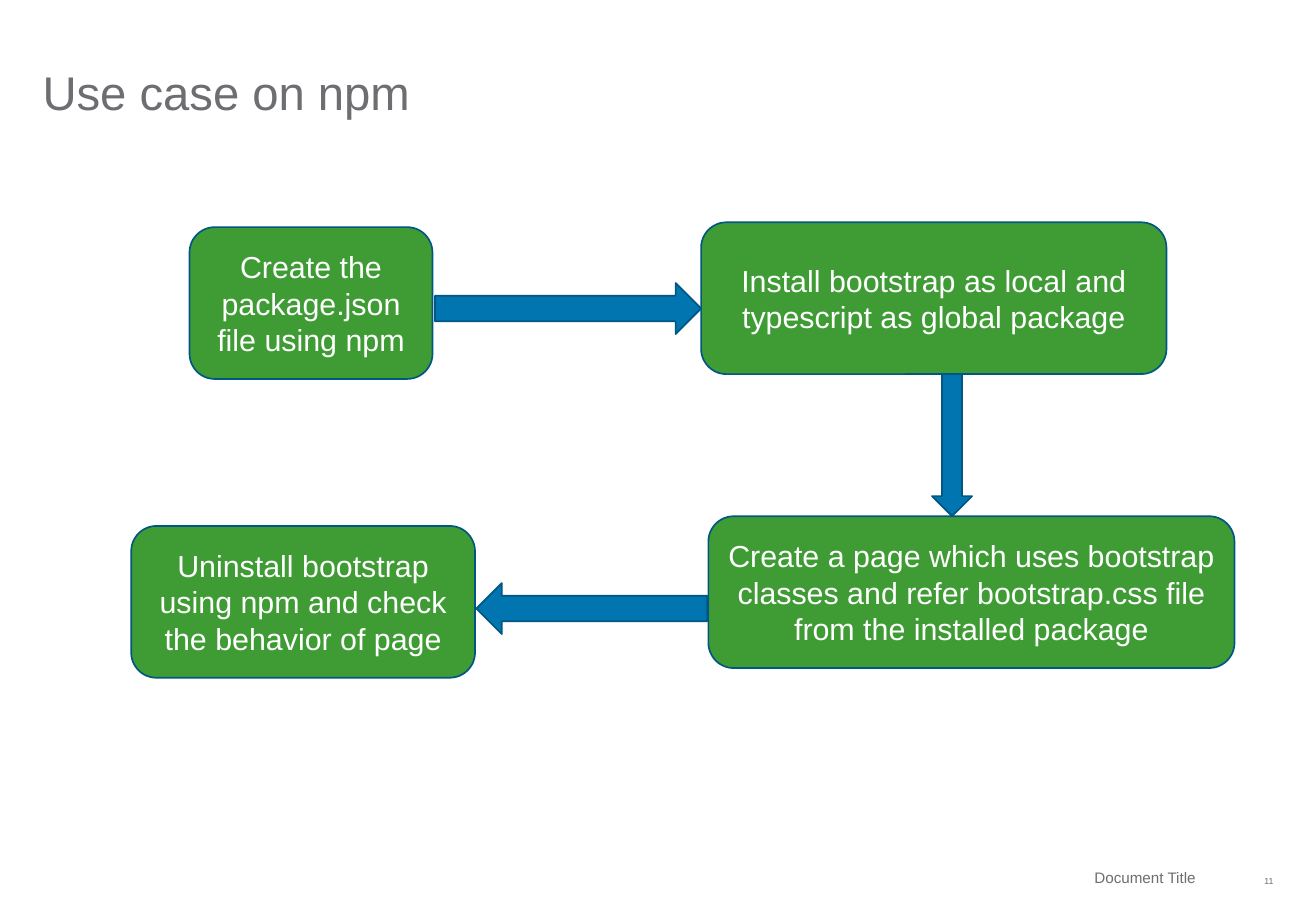
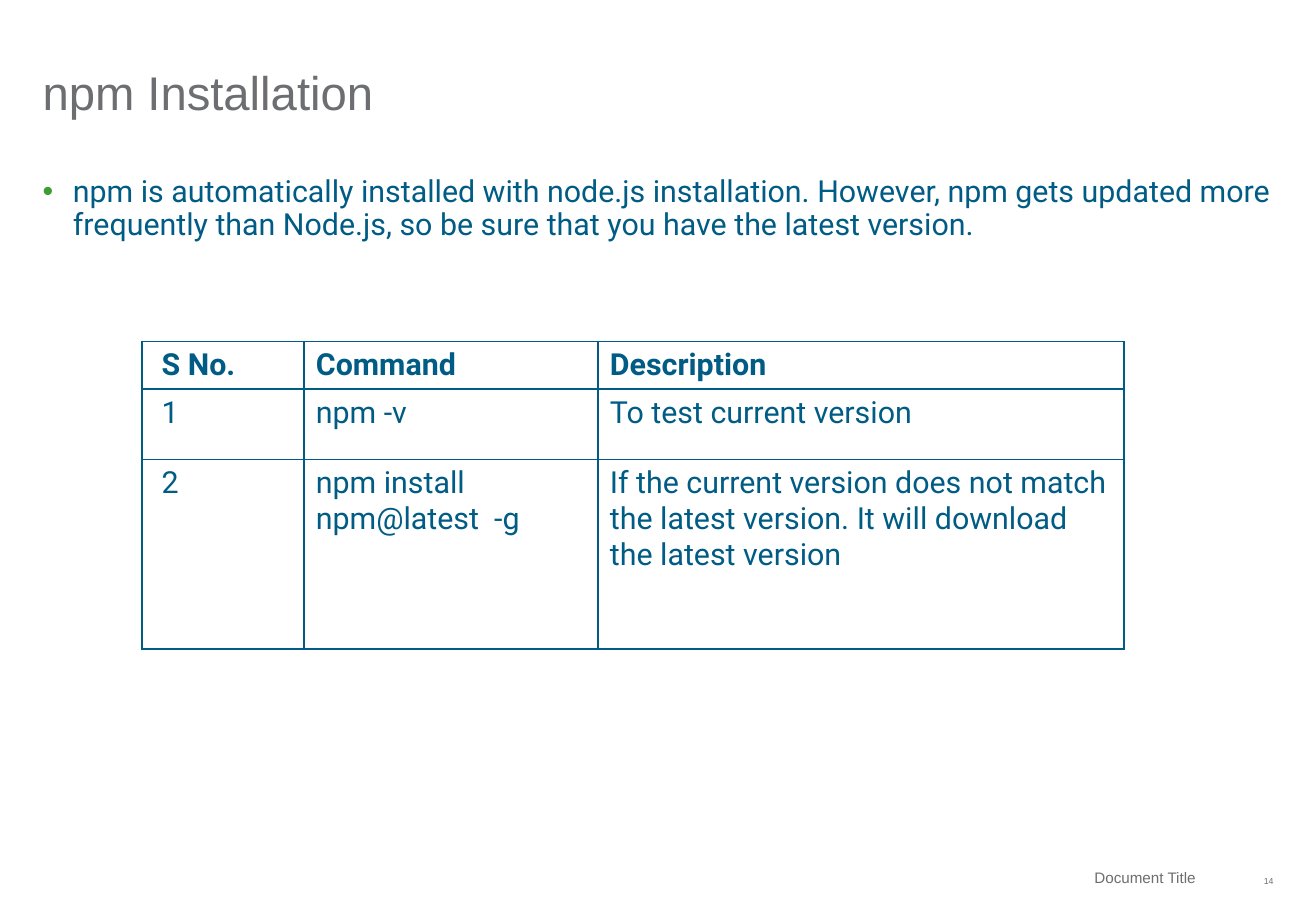
"""Build two slides on npm: a use case flow and the install commands."""
from dataclasses import dataclass
from typing import Optional

from lxml import etree
from pptx import Presentation
from pptx.dml.color import RGBColor
from pptx.enum.shapes import MSO_SHAPE
from pptx.enum.text import MSO_ANCHOR, MSO_AUTO_SIZE, PP_ALIGN
from pptx.oxml.ns import qn
from pptx.util import Pt

ROUND, RIGHT, DOWN, LEFT = (
    MSO_SHAPE.ROUNDED_RECTANGLE,
    MSO_SHAPE.RIGHT_ARROW,
    MSO_SHAPE.DOWN_ARROW,
    MSO_SHAPE.LEFT_ARROW,
)
TOP, MID, LOW = MSO_ANCHOR.TOP, MSO_ANCHOR.MIDDLE, MSO_ANCHOR.BOTTOM
START, CENTER, END = PP_ALIGN.LEFT, PP_ALIGN.CENTER, PP_ALIGN.RIGHT
FIXED = MSO_AUTO_SIZE.NONE
PX = 9144
WIDE, HIGH = 1083, 750
LISTED, PLAIN = 1, 5
FLUSH = (0, 0, 0, 0)


@dataclass(frozen=True)
class Theme:
    sans: str = "Arial"
    tech: str = "Roboto"
    gray: str = "6D6E71"
    green: str = "3F9C35"
    blue: str = "0075B0"
    edge: str = "005782"
    ink: str = "005C84"
    white: str = "FFFFFF"
    head: int = 28
    text: int = 18
    foot: int = 9
    line: int = 1


@dataclass(frozen=True)
class Box:
    x: int
    y: int
    w: int
    h: int

    def emu(self) -> tuple[int, ...]:
        return tuple(v * PX for v in (self.x, self.y, self.w, self.h))


@dataclass(frozen=True)
class Node:
    kind: MSO_SHAPE
    box: Box
    text: str = ""


T = Theme()
HEAD = Box(35, 22, 1013, 77)
BODY = Box(35, 145, 1013, 77)
FOOT = Box(619, 708, 380, 28)
PAGE = Box(1009, 705, 39, 33)
GRID = Box(117, 281, 808, 253)
COLS = (133, 242, 433)
ROWS = (39, 58, 156)

FLOW = (
    Node(ROUND, Box(156, 187, 200, 125), "Create the package.json file using npm"),
    Node(ROUND, Box(577, 183, 383, 125),
         "Install bootstrap as local and typescript as global package"),
    Node(ROUND, Box(583, 425, 433, 125),
         "Create a page which uses bootstrap classes and refer bootstrap.css file "
         "from the installed package"),
    Node(RIGHT, Box(358, 233, 219, 42)),
    Node(DOWN, Box(767, 308, 33, 117)),
    Node(ROUND, Box(108, 433, 283, 125),
         "Uninstall bootstrap using npm and check the behavior of page"),
    Node(LEFT, Box(392, 480, 190, 42)),
)
NOTE = (
    "npm is automatically installed with node.js installation. However, npm gets "
    "updated more frequently than Node.js, so be sure that you have the latest version."
)
CELLS = (
    ("S No.", "Command", "Description"),
    ("1", "npm -v", "To test current version"),
    ("2", "npm install npm@latest  -g",
     "If the current version does not match the latest version. "
     "It will download the latest version"),
)


def write(frame, text: str, *, size: int = T.text, font: str = T.sans,
          color: str = T.gray, bold: bool = False, align=START, anchor=None,
          inset: Optional[tuple] = None, space: Optional[float] = None,
          before: Optional[int] = None, drop: int = 0):
    if anchor is not None:
        frame.vertical_anchor = anchor
    if inset is not None:
        frame.word_wrap = True
        frame.auto_size = FIXED
        (frame.margin_left, frame.margin_top,
         frame.margin_right, frame.margin_bottom) = (v * PX for v in inset)
    para = frame.paragraphs[0]
    para.alignment = align
    if space is not None:
        para.line_spacing = space
    if before is not None:
        para.space_before = Pt(before)
    run = para.add_run()
    run.text = text
    run.font.size = Pt(size)
    run.font.name = font
    run.font.bold = bold
    run.font.color.rgb = RGBColor.from_string(color)
    if drop:
        run._r.get_or_add_rPr().set("baseline", str(-1000 * drop))
    return para


def place(shape, box: Box) -> None:
    shape.left, shape.top, shape.width, shape.height = box.emu()


def paint(fill, color: str) -> None:
    fill.solid()
    fill.fore_color.rgb = RGBColor.from_string(color)


def tint(root, tag: str, color: str) -> None:
    node = etree.SubElement(root, qn(tag))
    etree.SubElement(node, qn("a:srgbClr")).set("val", color)


def start(deck, kind: int, title: str, page: int):
    slide = deck.slides.add_slide(deck.slide_layouts[kind])
    head = slide.shapes.title
    place(head, HEAD)
    write(head.text_frame, title, size=T.head, anchor=LOW, inset=FLUSH,
          space=0.9, before=0)
    for box, text, inset, drop in (
        (PAGE, str(page), FLUSH, 25),
        (FOOT, "Document Title", (0, 0, 15, 0), 0),
    ):
        frame = slide.shapes.add_textbox(*box.emu()).text_frame
        write(frame, text, size=T.foot, align=END, anchor=MID,
              inset=inset, drop=drop)
    return slide


def draw(slide, node: Node) -> None:
    shape = slide.shapes.add_shape(node.kind, *node.box.emu())
    shape.shadow.inherit = False
    paint(shape.fill, T.green if node.text else T.blue)
    paint(shape.line.fill, T.edge)
    shape.line.width = Pt(T.line)
    if node.text:
        write(shape.text_frame, node.text, color=T.white, align=CENTER,
              anchor=MID, inset=(10, 5, 10, 5))


def point(slide, text: str) -> None:
    body = slide.placeholders[1]
    place(body, BODY)
    para = write(body.text_frame, text, font=T.tech, color=T.ink, anchor=TOP,
                 inset=FLUSH, space=0.9, before=10)
    props = para._p.get_or_add_pPr()
    props.set("marL", str(25 * PX))
    props.set("indent", str(-25 * PX))
    tint(props, "a:buClr", T.green)
    etree.SubElement(props, qn("a:buFont")).set("typeface", T.sans)
    etree.SubElement(props, qn("a:buChar")).set("char", "•")


def frame(cell) -> None:
    props = cell._tc.get_or_add_tcPr()
    for rank, side in enumerate(("L", "R", "T", "B")):
        line = etree.Element(qn("a:ln" + side), w=str(Pt(T.line)))
        tint(line, "a:solidFill", T.ink)
        props.insert(rank, line)


def chart(slide) -> None:
    table = slide.shapes.add_table(len(ROWS), len(COLS), *GRID.emu()).table
    table.first_row = table.horz_banding = False
    for col, wide in zip(table.columns, COLS):
        col.width = wide * PX
    for row, high in zip(table.rows, ROWS):
        row.height = high * PX
    for r, texts in enumerate(CELLS):
        for c, text in enumerate(texts):
            cell = table.cell(r, c)
            cell.margin_left = (10 if c else 16) * PX
            paint(cell.fill, T.white)
            frame(cell)
            write(cell.text_frame, text, font=T.tech, color=T.ink, bold=r == 0)


def main() -> None:
    deck = Presentation()
    deck.slide_width, deck.slide_height = WIDE * PX, HIGH * PX
    case = start(deck, PLAIN, "Use case on npm", 11)
    for node in FLOW:
        draw(case, node)
    setup = start(deck, LISTED, "npm Installation", 14)
    point(setup, NOTE)
    chart(setup)
    deck.save("out.pptx")


if __name__ == "__main__":
    main()
